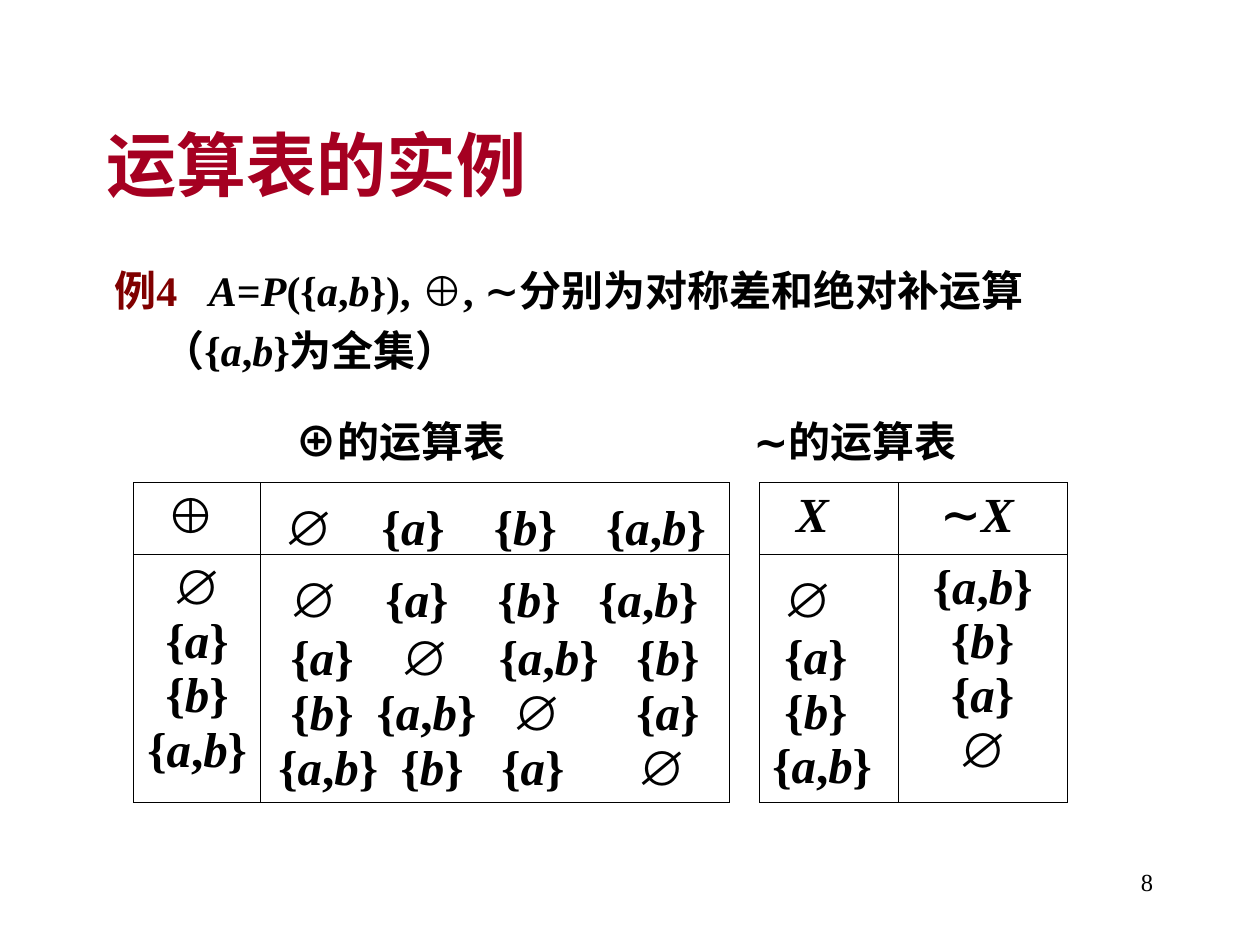
from itertools import groupby

from lxml import etree
from pptx import Presentation
from pptx import util as u
from pptx.dml.color import RGBColor
from pptx.enum import text
from pptx.oxml import ns
from pptx.util import Inches

COLORS = {"title": "A50021", "example": "800000", "ink": "000000"}
SERIF, SYMBOL, CJK, MONO = "Times New Roman", "Arial", "Noto Sans CJK SC", "Courier New"
LEFT, CENTER, RIGHT = text.PP_ALIGN.LEFT, text.PP_ALIGN.CENTER, text.PP_ALIGN.RIGHT

SYMMETRIC_ROWS = [
    ("∅\t{a}\t{b}\t{a,b}", [0.85, 1.74, 2.54], CJK),
    ("{a}\t∅\t{a,b}\t{b}", [0.97, 1.75, 2.84], SERIF),
    ("{b}\t{a,b}\t∅\t{a}", [0.78, 1.86, 2.84], SERIF),
    ("{a,b}\t{b}\t{a}\t∅", [0.97, 1.77, 2.85], None),
]


def color(name):
    return RGBColor.from_string(COLORS[name])


def add_run(paragraph, content, font_name, italic=False, ink=None):
    run = paragraph.add_run()
    run.text = content
    run.font.name = font_name
    run.font.italic = italic
    if ink:
        run.font.color.rgb = color(ink)
    east_asian = etree.SubElement(run.font._element, ns.qn("a:ea"))
    east_asian.set("typeface", CJK)


def math_style(character):
    if character in "⊕∅":
        return SYMBOL, False
    return SERIF, character.isascii() and character.isalpha()


def add_math(paragraph, content):
    for (font_name, italic), characters in groupby(content, math_style):
        add_run(paragraph, "".join(characters), font_name, italic)


def format_paragraph(paragraph, size, ink="ink", bold=True, tabs=(), align=LEFT):
    paragraph.alignment = align
    if tabs:
        properties = paragraph._p.get_or_add_pPr()
        tab_list = etree.SubElement(properties, ns.qn("a:tabLst"))
        for position in tabs:
            tab = etree.SubElement(tab_list, ns.qn("a:tab"))
            tab.set("pos", str(Inches(position)))
            tab.set("algn", "l")
    paragraph.font.size = u.Pt(size)
    paragraph.font.bold = bold
    paragraph.font.color.rgb = color(ink)


def add_frame(slide, box, anchor=text.MSO_ANCHOR.TOP):
    frame = slide.shapes.add_textbox(*map(Inches, box)).text_frame
    frame.word_wrap = True
    frame.vertical_anchor = anchor
    return frame


def next_paragraph(frame, index):
    return frame.add_paragraph() if index else frame.paragraphs[0]


def add_label(slide, box, content, size, ink, bold, align, anchor):
    paragraph = add_frame(slide, box, anchor).paragraphs[0]
    format_paragraph(paragraph, size, ink, bold, align=align)
    add_run(paragraph, content, SERIF)


def add_example(slide, box):
    frame = add_frame(slide, box)
    lines = [
        ("\tA=P({a,b}), ⊕, ∼分别为对称差和绝对补运算", [0.75], 1.2),
        ("\t（{a,b}为全集）", [0.38], 1.2),
        ("\t⊕的运算表\t∼的运算表", [1.44, 5.07], 1.8),
    ]
    for index, (content, tabs, spacing) in enumerate(lines):
        paragraph = next_paragraph(frame, index)
        format_paragraph(paragraph, 24, tabs=tabs)
        paragraph.line_spacing = spacing
        if index == 0:
            add_run(paragraph, "例4", SERIF, ink="example")
        add_math(paragraph, content)


def fill_cell(cell, lines, align=LEFT):
    for index, (content, tabs, lead_font) in enumerate(lines):
        paragraph = next_paragraph(cell.text_frame, index)
        format_paragraph(paragraph, 28, tabs=tabs, align=align)
        if lead_font:
            add_run(paragraph, " ", lead_font)
        add_math(paragraph, content)


def border_cell(cell, sides):
    properties = cell._tc.get_or_add_tcPr()
    for position, side in enumerate("LRTB"):
        line = etree.Element(ns.qn(f"a:ln{side}"), w=str(u.Pt(0.45)))
        if side in sides:
            fill = etree.SubElement(line, ns.qn("a:solidFill"))
            etree.SubElement(fill, ns.qn("a:srgbClr"), val=COLORS["ink"])
        else:
            etree.SubElement(line, ns.qn("a:noFill"))
        properties.insert(position, line)


def add_operation_table(slide, box):
    widths, heights = [1.01, 3.72, 0.24, 1.1, 1.34], [0.56, 1.97]
    table = slide.shapes.add_table(2, 5, *map(Inches, box)).table
    table.first_row = table.horz_banding = False
    for column, width in zip(table.columns, widths):
        column.width = Inches(width)
    for row, height in zip(table.rows, heights):
        row.height = Inches(height)
    for row in table.rows:
        for index, cell in enumerate(row.cells):
            cell.fill.background()
            border_cell(cell, "LR" if index == 2 else "LRTB")
    table.cell(0, 2).merge(table.cell(1, 2))

    sets = ["∅", "{a}", "{b}", "{a,b}"]
    centered = [(item, [], None) for item in sets]
    leads = [CJK, SERIF, SERIF, None]
    fill_cell(table.cell(0, 0), [("⊕ ", [], None)], CENTER)
    fill_cell(table.cell(0, 1), [("\t".join(sets), [0.86, 1.75, 2.64], CJK)])
    fill_cell(table.cell(0, 3), [("\tX", [0.19], None)])
    fill_cell(table.cell(0, 4), [("∼X", [], MONO)])
    fill_cell(table.cell(1, 0), centered, CENTER)
    table.cell(1, 1).margin_left = Inches(0.14)
    fill_cell(table.cell(1, 1), SYMMETRIC_ROWS)
    fill_cell(table.cell(1, 3), [(item, [], lead) for item, lead in zip(sets, leads)])
    fill_cell(table.cell(1, 4), centered[::-1], CENTER)


def main():
    presentation = Presentation()
    presentation.slide_width, presentation.slide_height = Inches(10), Inches(7.5)
    slide = presentation.slides.add_slide(presentation.slide_layouts[6])
    add_label(slide, (7.17, 6.83, 2.08, 0.5), "8", 14, "ink", False, RIGHT, text.MSO_ANCHOR.TOP)
    add_label(slide, (0.75, 0.67, 8.5, 1.25), "运算表的实例", 40, "title", True, LEFT,
              text.MSO_ANCHOR.MIDDLE)
    add_example(slide, (0.81, 1.97, 8.05, 1.78))
    add_operation_table(slide, (1.06, 3.83, 7.41, 2.53))
    presentation.save("out.pptx")


if __name__ == "__main__":
    main()
